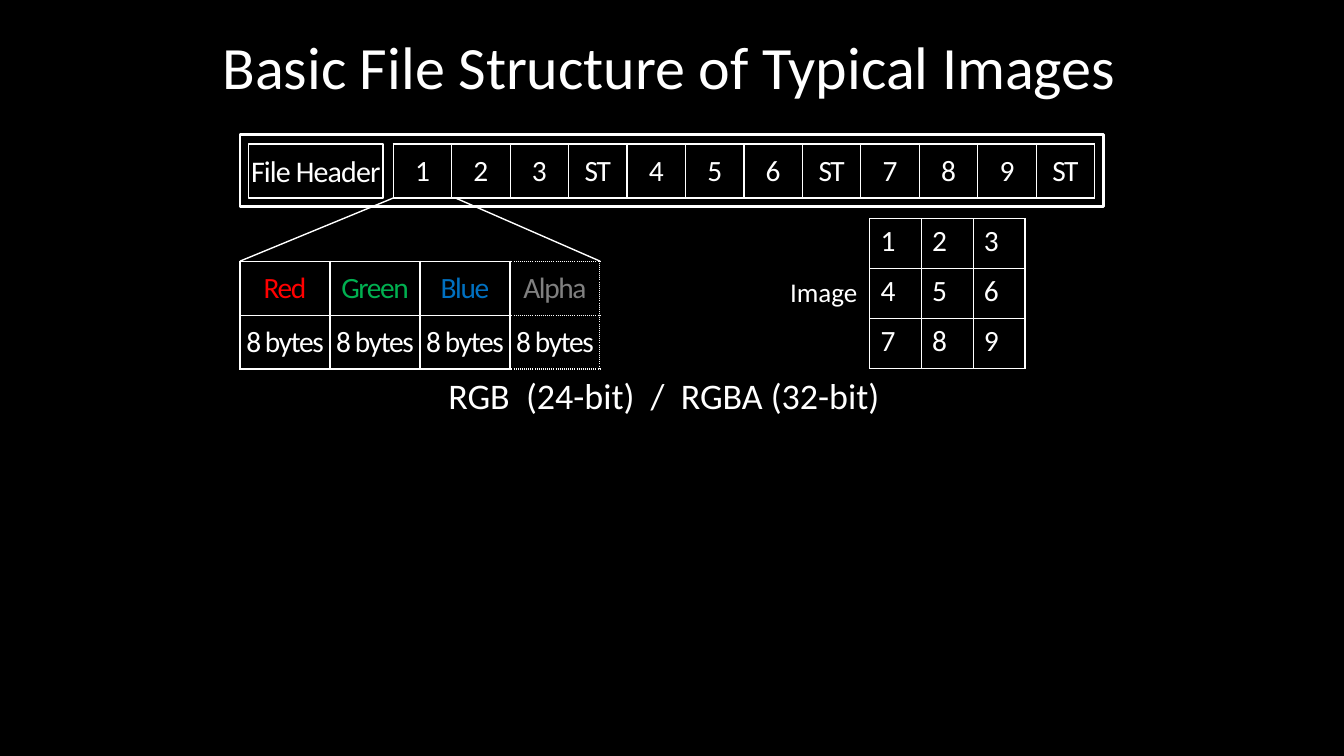
import pptx
import pptx.util
import pptx.dml.color
import pptx.enum.shapes
import pptx.enum.text
import pptx.oxml
from pptx.oxml.ns import nsdecls, qn

Cm, Pt = pptx.util.Cm, pptx.util.Pt
ALIGN = pptx.enum.text.PP_ALIGN
ANCHOR = pptx.enum.text.MSO_ANCHOR

# Content
WHITE, BLACK, FONT = "FFFFFF", "000000", "Calibri"
FILE_HEADER = "File Header"
PIXEL_STREAM = [["1", "2", "3", "ST", "4", "5", "6", "ST", "7", "8", "9", "ST"]]
IMAGE_PIXELS = [["1", "2", "3"], ["4", "5", "6"], ["7", "8", "9"]]
CHANNELS = {"Red": "FF0000", "Green": "00B050", "Blue": "0070C0", "Alpha": "808080"}
CHANNEL_ROWS = [list(CHANNELS), ["8 bytes"] * len(CHANNELS)]
LABELS = [  # text, size, box in cm
    ("RGB  (24-bit)  /  RGBA (32-bit)", 25.7, (11.05, 9.3, 11.79, 1.35)),
    ("Basic File Structure of Typical Images", 42.9, (5.36, 0.61, 23.37, 2.08)),
    ("Image", 19.3, (19.66, 6.81, 2.26, 1.09)),
]

# Layout in cm: left, top, width, height
FRAME = (6.05, 3.4, 21.77, 1.8)
HEADER = (6.27, 3.63, 3.38, 1.36)
STREAM = (9.91, 3.63, 17.68, 1.36)
CHANNEL_BOX = (6.05, 6.58, 9.07, 2.72)
IMAGE_BOX = (21.92, 5.51, 3.91, 3.78)
SECOND_PIXEL_X = 11.48


def color(hex_code):
    return pptx.dml.color.RGBColor.from_string(hex_code)


def lengths(box):
    return [Cm(value) for value in box]


def write(frame, text, size=21, hue=WHITE, align=ALIGN.LEFT, spacing=0):
    paragraph = frame.paragraphs[0]
    paragraph.alignment = align
    run = paragraph.add_run()
    run.text = text
    run.font.size, run.font.name = Pt(size), FONT
    run.font.color.rgb = color(hue)
    if spacing:
        run.font._element.set("spc", str(round(spacing * 100)))


def set_borders(cell, dotted=False):
    properties = cell._tc.get_or_add_tcPr()
    for position, side in enumerate("LRTB"):
        dash = "sysDot" if dotted and side != "L" else "solid"
        properties.insert(position, pptx.oxml.parse_xml(
            f'<a:ln{side} {nsdecls("a")} w="12700"><a:solidFill>'
            f'<a:srgbClr val="{WHITE}"/></a:solidFill>'
            f'<a:prstDash val="{dash}"/></a:ln{side}>'))


def add_grid(rows, box, hues=None, dotted_column=None, compact=True):
    left, top, width, height = lengths(box)
    table = slide.shapes.add_table(
        len(rows), len(rows[0]), left, top, width, height).table
    table.first_row = table.horz_banding = False
    for r, row in enumerate(rows):
        for c, text in enumerate(row):
            cell = table.cell(r, c)
            cell.fill.background()
            set_borders(cell, dotted=c == dotted_column)
            hue = (hues or {}).get(text, WHITE)
            if compact:
                cell.margin_left = cell.margin_right = 0
                cell.margin_top = cell.margin_bottom = 0
                cell.vertical_anchor = ANCHOR.MIDDLE
                write(cell.text_frame, text, hue=hue, align=ALIGN.CENTER, spacing=-1)
            else:
                cell.margin_left = cell.margin_right = Cm(0.27)
                cell.margin_top = cell.margin_bottom = Cm(0.13)
                write(cell.text_frame, text, hue=hue)


def add_outline(group, box, weight):
    outline = group.shapes.add_shape(
        pptx.enum.shapes.MSO_SHAPE.RECTANGLE, *lengths(box))
    outline.shadow.inherit = False
    outline.fill.background()
    outline.line.color.rgb = color(WHITE)
    outline.line.width = Pt(weight)
    return outline


def add_line(*ends):
    line = slide.shapes.add_connector(
        pptx.enum.shapes.MSO_CONNECTOR.STRAIGHT, *lengths(ends))
    line.line.color.rgb = color(WHITE)
    line.line.width = Pt(1)
    line._element.spPr.append(line._element.makeelement(qn("a:effectLst"), {}))


# Slide
presentation = pptx.Presentation()
presentation.slide_width, presentation.slide_height = Cm(33.87), Cm(19.05)
slide = presentation.slides.add_slide(presentation.slide_layouts[6])
slide.background.fill.solid()
slide.background.fill.fore_color.rgb = color(BLACK)

# Image pixels and their order in the file
add_grid(IMAGE_PIXELS, IMAGE_BOX, compact=False)
add_grid(PIXEL_STREAM, STREAM)

# File frame with its header
file_group = slide.shapes.add_group_shape()
add_outline(file_group, FRAME, 2)
header = add_outline(file_group, HEADER, 1).text_frame
header.margin_left = header.margin_right = 0
header.margin_top = header.margin_bottom = 0
header.vertical_anchor = ANCHOR.MIDDLE
header.word_wrap = False
write(header, FILE_HEADER, size=21.4, align=ALIGN.CENTER, spacing=-0.6)

# One pixel opened into its channels
stream_bottom = STREAM[1] + STREAM[3]
channel_left, channel_top, channel_width, _ = CHANNEL_BOX
add_line(STREAM[0], stream_bottom, channel_left, channel_top)
add_line(SECOND_PIXEL_X, stream_bottom, channel_left + channel_width, channel_top)
add_grid(CHANNEL_ROWS, CHANNEL_BOX, hues=CHANNELS, dotted_column=len(CHANNELS) - 1)

# Title and labels
for text, size, box in LABELS:
    label = slide.shapes.add_textbox(*lengths(box)).text_frame
    label.word_wrap = False
    write(label, text, size=size)

presentation.save("out.pptx")
